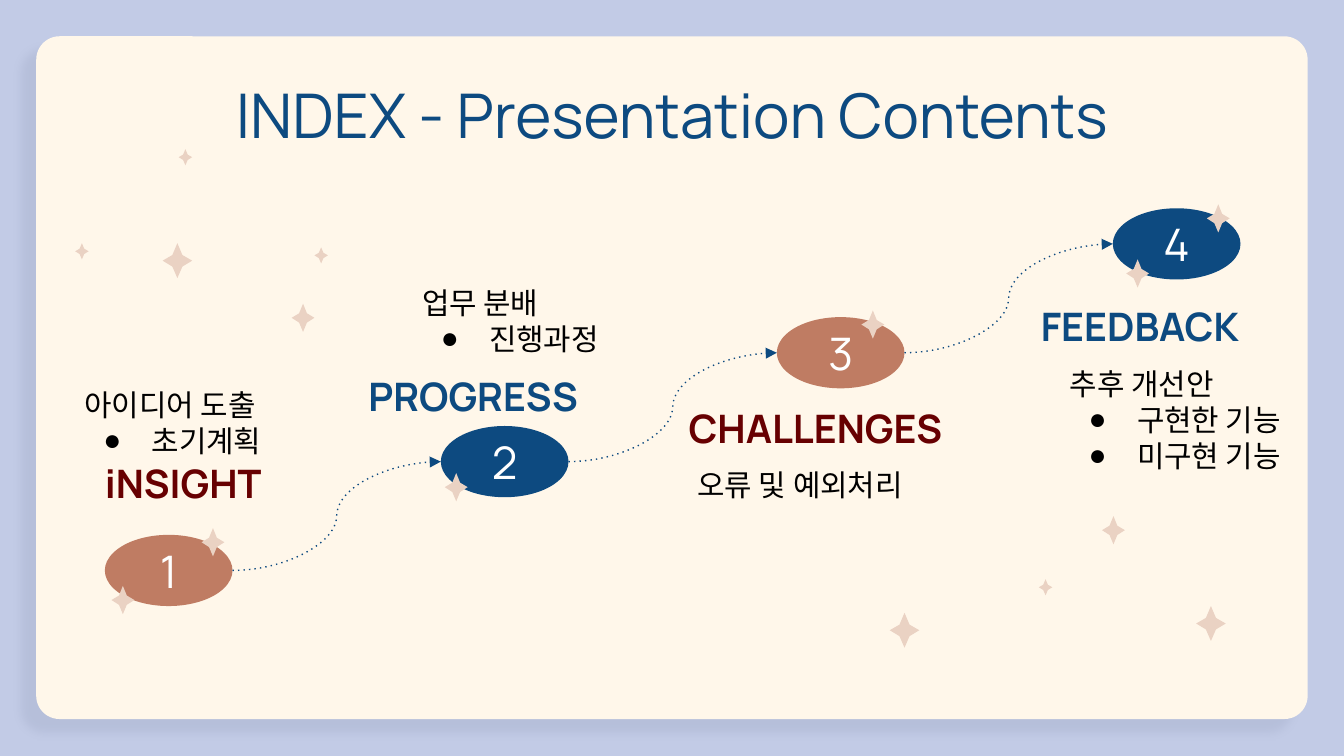
from dataclasses import dataclass

from lxml import etree
from pptx import Presentation
from pptx.dml.color import RGBColor
from pptx.enum.shapes import MSO_CONNECTOR, MSO_SHAPE
from pptx.enum.text import MSO_ANCHOR, MSO_AUTO_SIZE, PP_ALIGN
from pptx.oxml.ns import qn
from pptx.util import Inches, Pt

LEFT, CENTER, RIGHT = PP_ALIGN.LEFT, PP_ALIGN.CENTER, PP_ALIGN.RIGHT
TOP, MIDDLE, BOTTOM = MSO_ANCHOR.TOP, MSO_ANCHOR.MIDDLE, MSO_ANCHOR.BOTTOM
NO_AUTOFIT = MSO_AUTO_SIZE.NONE
OVAL, ROUNDED = MSO_SHAPE.OVAL, MSO_SHAPE.ROUNDED_RECTANGLE
CURVE = MSO_CONNECTOR.CURVE

COLORS = {
    "background": "C2CBE6",
    "card": "FFF7EA",
    "shadow": "515B7A",
    "navy": "0D4A80",
    "maroon": "670001",
    "clay": "BF7C63",
    "star": "EAD2C3",
    "black": "000000",
    "white": "FFFFFF",
}
FONT = "Manrope"
STEP_LEFT, STEP_TOP = 0.78, 3.98
STEP_DX, STEP_DY = 2.5, -0.81
OVAL_W, OVAL_H = 0.95, 0.53
STAR_SIZES = {"small": (0.1, 0.12), "medium": (0.17, 0.21), "large": (0.22, 0.26)}
STAR_POINTS = [(0.5, 0), (0.33, 0.34), (0, 0.5), (0.33, 0.67),
               (0.5, 1), (0.67, 0.67), (1, 0.5), (0.67, 0.34)]


@dataclass
class Step:
    heading: str
    heading_at: tuple
    align: PP_ALIGN
    heading_color: str
    fill: str
    lead: str
    bullets: list
    list_box: tuple
    list_font: str = "Calibri"


@dataclass
class Star:
    left: float
    top: float
    size: str


STEPS = [
    Step("iNSIGHT", (0.78, 3.42), LEFT, "maroon", "clay",
         "아이디어 도출", ["초기계획"], (0.63, 2.88, 2.21, 0.63), FONT),
    Step("PROGRESS", (2.74, 2.77), LEFT, "navy", "navy",
         "업무 분배", ["진행과정"], (3.14, 2.12, 2.21, 0.63)),
    Step("CHALLENGES", (4.8, 3.01), RIGHT, "maroon", "clay",
         "오류 및 예외처리", [], (5.19, 3.47, 3.12, 0.63)),
    Step("FEEDBACK", (7.01, 2.25), RIGHT, "navy", "navy",
         "추후 개선안", ["구현한 기능", "미구현 기능"], (7.96, 2.72, 2.65, 0.63)),
]

STARS = [
    Star(1.5, 3.93, "medium"), Star(0.83, 4.36, "medium"),
    Star(3.31, 3.52, "medium"), Star(6.41, 2.31, "medium"),
    Star(8.98, 1.52, "medium"), Star(8.38, 1.93, "medium"),
    Star(0.56, 1.81, "small"), Star(8.2, 3.84, "medium"),
    Star(8.9, 4.51, "large"), Star(1.21, 1.81, "large"),
    Star(2.34, 1.84, "small"), Star(2.17, 2.26, "medium"),
    Star(6.62, 4.56, "large"), Star(7.73, 4.31, "small"),
    Star(1.33, 1.11, "small"),
]


def rgb(name: str) -> RGBColor:
    return RGBColor.from_string(COLORS[name])


def place(sp, left: float, top: float, width: float, height: float) -> None:
    sp.left, sp.top = Inches(left), Inches(top)
    sp.width, sp.height = Inches(width), Inches(height)


def set_bullet(p, bulleted: bool) -> None:
    pPr = p._p.get_or_add_pPr()
    pPr.set("marL", str(Inches(0.5 if bulleted else 0)))
    pPr.set("indent", str(Inches(-0.36 if bulleted else 0)))
    if bulleted:
        color = etree.SubElement(pPr, qn("a:buClr"))
        etree.SubElement(color, qn("a:srgbClr"), val=COLORS["black"])
        etree.SubElement(pPr, qn("a:buChar"), char="●")
    else:
        etree.SubElement(pPr, qn("a:buNone"))


def write(sp, text: str, *, size: float, color: str, font: str = FONT,
          bold: bool = False, align: PP_ALIGN = LEFT,
          anchor: MSO_ANCHOR = TOP, bullets: tuple = ()) -> None:
    tf = sp.text_frame
    tf.auto_size, tf.word_wrap, tf.vertical_anchor = NO_AUTOFIT, True, anchor
    tf.margin_left = tf.margin_top = tf.margin_right = tf.margin_bottom = 0
    for i, line in enumerate([text, *bullets]):
        p = tf.add_paragraph() if i else tf.paragraphs[0]
        p.alignment, p.space_before = align, Pt(0)
        set_bullet(p, i > 0)
        r = p.add_run()
        r.text = line
        r.font.name, r.font.size, r.font.bold = font, Pt(size), bold
        r.font.color.rgb = rgb(color)


def paint(sp, color: str) -> None:
    sp.shadow.inherit = False
    sp.fill.solid()
    sp.fill.fore_color.rgb = rgb(color)
    sp.line.fill.background()


def add_card(s) -> None:
    card = s.shapes.add_shape(ROUNDED, Inches(0.27), Inches(0.27), Inches(9.46), Inches(5.08))
    card.adjustments[0] = 0.034
    paint(card, "card")
    effects = card._element.spPr.find(qn("a:effectLst"))
    shadow = etree.SubElement(effects, qn("a:outerShdw"), blurRad=str(Pt(4.5)),
                              dist=str(Pt(10.5)), dir=str(137 * 60000),
                              algn="bl", rotWithShape="0")
    tint = etree.SubElement(shadow, qn("a:srgbClr"), val=COLORS["shadow"])
    etree.SubElement(tint, qn("a:alpha"), val="10000")
    s.shapes._spTree.insert(2, card._element)


def add_step(s, i: int, step: Step) -> None:
    heading = s.shapes.add_textbox(*map(Inches, (*step.heading_at, 2.21, 0.32)))
    write(heading, step.heading, size=21, color=step.heading_color, bold=True, align=step.align)

    details = s.placeholders[i + 1]
    place(details, *step.list_box)
    write(details, step.lead, size=16, color="black", font=step.list_font, bullets=step.bullets)

    oval = s.shapes.add_shape(OVAL, 0, 0, 0, 0)
    place(oval, STEP_LEFT + i * STEP_DX, STEP_TOP + i * STEP_DY, OVAL_W, OVAL_H)
    paint(oval, step.fill)
    write(oval, str(i + 1), size=24, color="white", align=CENTER, anchor=MIDDLE)


def add_arrow(s, i: int) -> None:
    x, y = STEP_LEFT + i * STEP_DX, STEP_TOP + i * STEP_DY + OVAL_H / 2
    arrow = s.shapes.add_connector(CURVE, Inches(x + OVAL_W), Inches(y),
                                   Inches(x + STEP_DX), Inches(y + STEP_DY))
    arrow.line.color.rgb = rgb("navy")
    arrow.line.width = Pt(0.75)
    ln = arrow.line._get_or_add_ln()
    etree.SubElement(ln, qn("a:prstDash"), val="dot")
    etree.SubElement(ln, qn("a:tailEnd"), type="triangle")
    etree.SubElement(arrow._element.spPr, qn("a:effectLst"))


def add_star(s, star: Star) -> None:
    width, height = STAR_SIZES[star.size]
    points = [(Inches(star.left + x * width), Inches(star.top + y * height))
              for x, y in STAR_POINTS]
    builder = s.shapes.build_freeform(*points[0])
    builder.add_line_segments(points[1:], close=True)
    paint(builder.convert_to_shape(), "star")


def main() -> None:
    prs = Presentation()
    prs.slide_width = Inches(10)
    prs.slide_height = prs.slide_width * 9 // 16
    s = prs.slides.add_slide(prs.slide_layouts.get_by_name("Comparison"))
    s.background.fill.solid()
    s.background.fill.fore_color.rgb = rgb("background")

    add_card(s)
    place(s.shapes.title, 0.78, 0.49, 8.44, 0.63)
    write(s.shapes.title, "INDEX - Presentation Contents", size=33, color="navy",
          align=CENTER, anchor=BOTTOM)
    for i, step in enumerate(STEPS):
        add_step(s, i, step)
    for i in range(len(STEPS) - 1):
        add_arrow(s, i)
    for star in STARS:
        add_star(s, star)
    prs.save("out.pptx")


if __name__ == "__main__":
    main()
